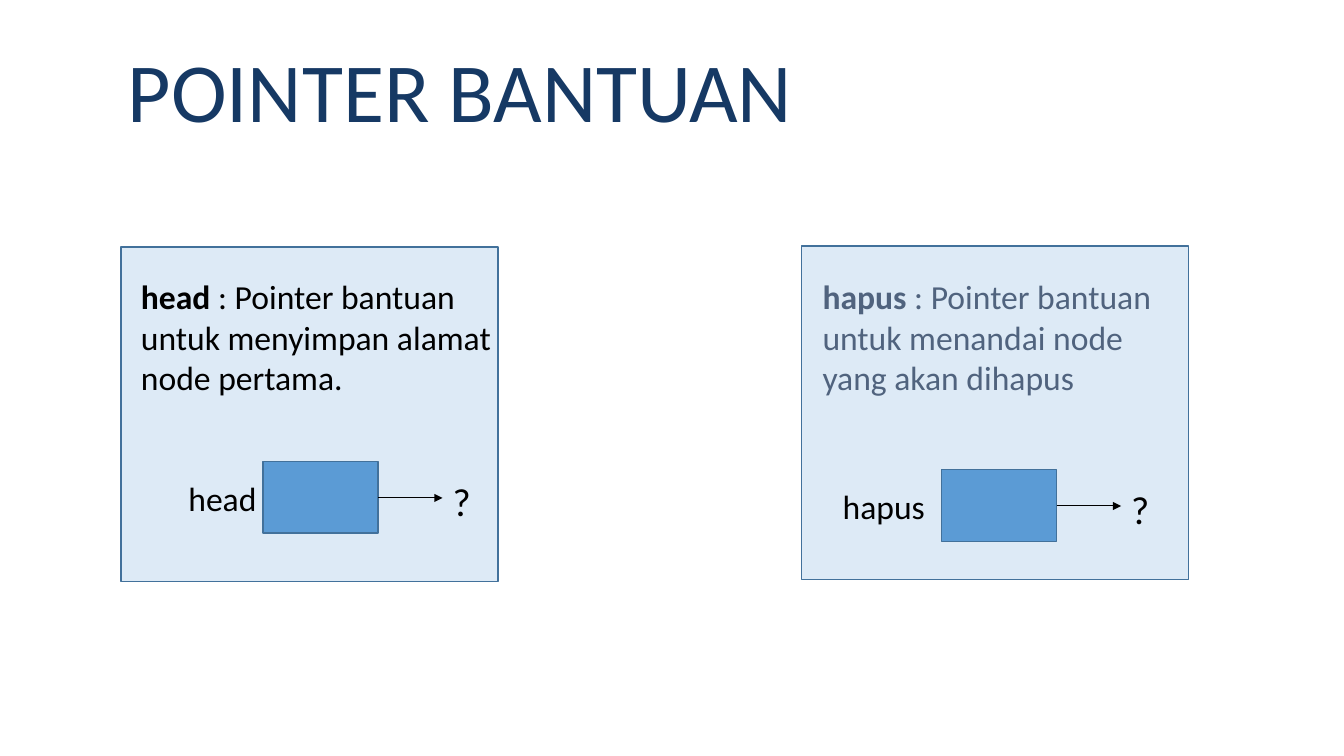
from dataclasses import dataclass

from pptx import Presentation
from pptx.dml.color import RGBColor
from pptx.enum.shapes import MSO_CONNECTOR, MSO_SHAPE
from pptx.enum.text import MSO_ANCHOR, PP_ALIGN
from pptx.oxml.ns import qn
from pptx.shapes.group import GroupShape
from pptx.slide import Slide
from pptx.util import Emu, Pt
from lxml.etree import SubElement

EMU_PER_PX = 9144  # 100 px to the inch


@dataclass(frozen=True)
class Theme:
    font: str = "Calibri"
    title: str = "163964"
    ink: str = "000000"
    muted: str = "50637E"
    panel: str = "DDEAF6"
    node: str = "5B9BD5"
    outline: str = "42719B"
    title_size: int = 60
    body_size: int = 24
    mark_size: int = 28


@dataclass(frozen=True)
class Box:
    left: int
    top: int
    width: int
    height: int


@dataclass(frozen=True)
class PointerCard:
    name: str
    description: str
    color: str
    panel: Box
    text: Box
    label: Box
    node_left: int
    node_top: int


THEME = Theme()
CARDS = (
    PointerCard("hapus", " : Pointer bantuan untuk menandai node yang akan dihapus",
                THEME.muted, Box(795, 244, 384, 331), Box(806, 269, 384, 172),
                Box(826, 477, 103, 50), 934, 466),
    PointerCard("head", " : Pointer bantuan untuk menyimpan alamat node pertama.",
                THEME.ink, Box(120, 245, 374, 332), Box(130, 269, 384, 131),
                Box(177, 469, 89, 50), 261, 458),
)
NODE_WIDTH, NODE_HEIGHT = 114, 71
ARROW_LENGTH = 64


def px(value: int) -> Emu:
    return Emu(value * EMU_PER_PX)


def place(box: Box) -> tuple[Emu, Emu, Emu, Emu]:
    return px(box.left), px(box.top), px(box.width), px(box.height)


def add_text(parent: Slide | GroupShape, box: Box, text: str, *, color: str = THEME.ink,
             size: int = THEME.body_size, bold_lead: str = "",
             anchor: MSO_ANCHOR = MSO_ANCHOR.TOP, line_spacing: float = 1.0) -> None:
    shape = parent.shapes.add_textbox(*place(box))
    frame = shape.text_frame
    frame.word_wrap = True
    frame.vertical_anchor = anchor
    paragraph = frame.paragraphs[0]
    paragraph.alignment = PP_ALIGN.LEFT
    paragraph.line_spacing = line_spacing
    for content, bold in ((bold_lead, True), (text, False)):
        if not content:
            continue
        run = paragraph.add_run()
        run.text = content
        run.font.name = THEME.font
        run.font.size = Pt(size)
        run.font.bold = bold
        run.font.color.rgb = RGBColor.from_string(color)


def add_rectangle(parent: Slide | GroupShape, box: Box, fill: str) -> None:
    shape = parent.shapes.add_shape(MSO_SHAPE.RECTANGLE, *place(box))
    shape.shadow.inherit = False
    shape.fill.solid()
    shape.fill.fore_color.rgb = RGBColor.from_string(fill)
    shape.line.color.rgb = RGBColor.from_string(THEME.outline)
    shape.line.width = Pt(1)


def add_arrow(parent: GroupShape, left: int, middle: int) -> None:
    connector = parent.shapes.add_connector(
        MSO_CONNECTOR.STRAIGHT, px(left), px(middle), px(left + ARROW_LENGTH), px(middle))
    connector.line.color.rgb = RGBColor.from_string(THEME.ink)
    connector.line.width = Pt(0.75)
    properties = connector._element.spPr
    SubElement(properties.find(qn("a:ln")), qn("a:tailEnd"), type="triangle")
    SubElement(properties, qn("a:effectLst"))


def add_card(slide: Slide, card: PointerCard) -> None:
    add_rectangle(slide, card.panel, THEME.panel)
    add_text(slide, card.text, card.description, color=card.color, bold_lead=card.name)

    # Pointer diagram: node, label, arrow and unknown target
    diagram = slide.shapes.add_group_shape()
    node = Box(card.node_left, card.node_top, NODE_WIDTH, NODE_HEIGHT)
    node_right = node.left + node.width
    add_rectangle(diagram, node, THEME.node)
    add_text(diagram, card.label, card.name)
    add_arrow(diagram, node_right, node.top + node.height // 2 + 1)
    add_text(diagram, Box(node_right + ARROW_LENGTH, card.label.top, 33, 57), "?",
             size=THEME.mark_size)


def main() -> None:
    presentation = Presentation()
    presentation.slide_width, presentation.slide_height = px(1333), px(750)
    slide = presentation.slides.add_slide(presentation.slide_layouts[6])

    # Title
    add_text(slide, Box(117, 13, 1113, 163), "POINTER BANTUAN", color=THEME.title,
             size=THEME.title_size, anchor=MSO_ANCHOR.MIDDLE, line_spacing=0.9)

    # Pointer cards
    for card in CARDS:
        add_card(slide, card)

    presentation.save("out.pptx")


if __name__ == "__main__":
    main()
